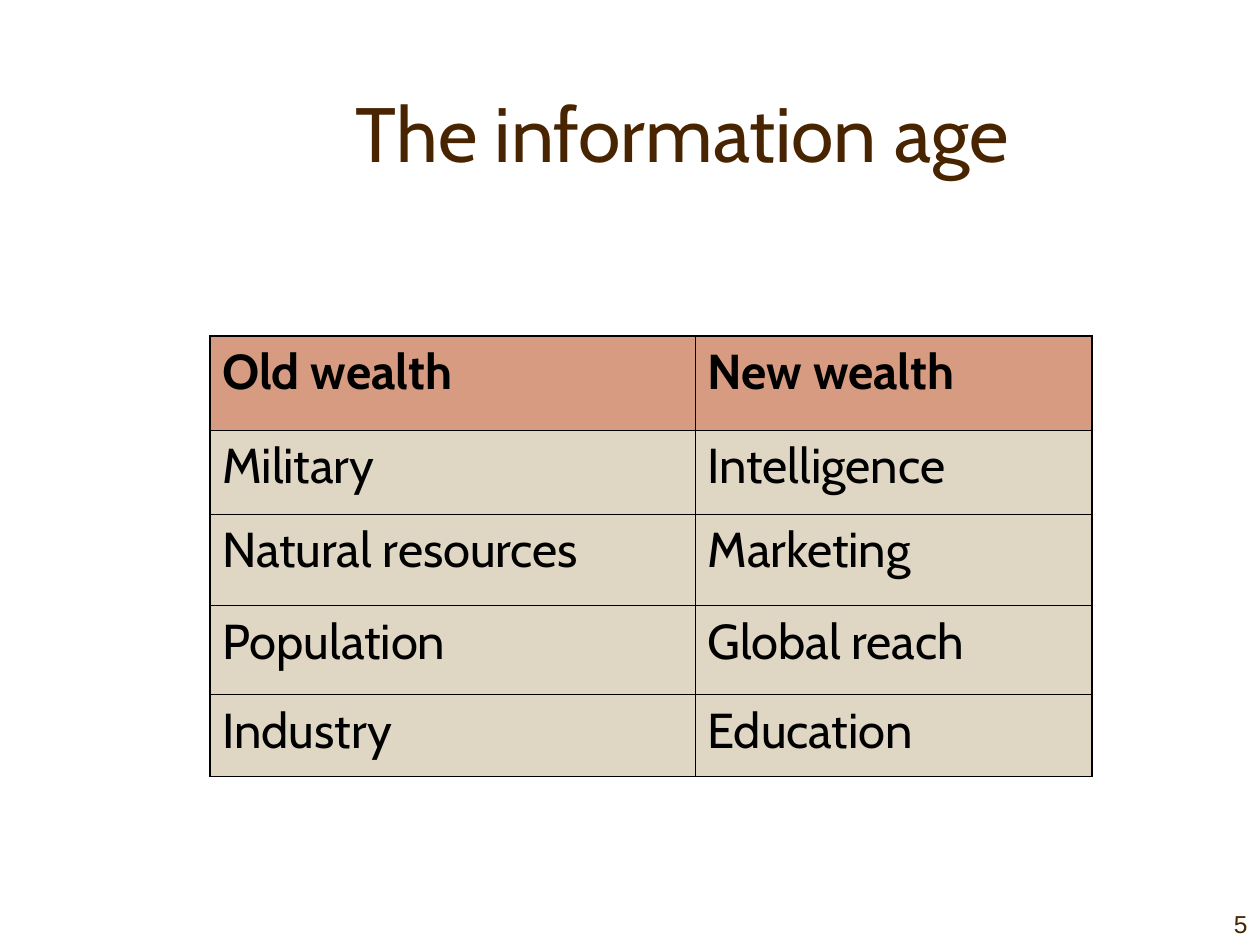
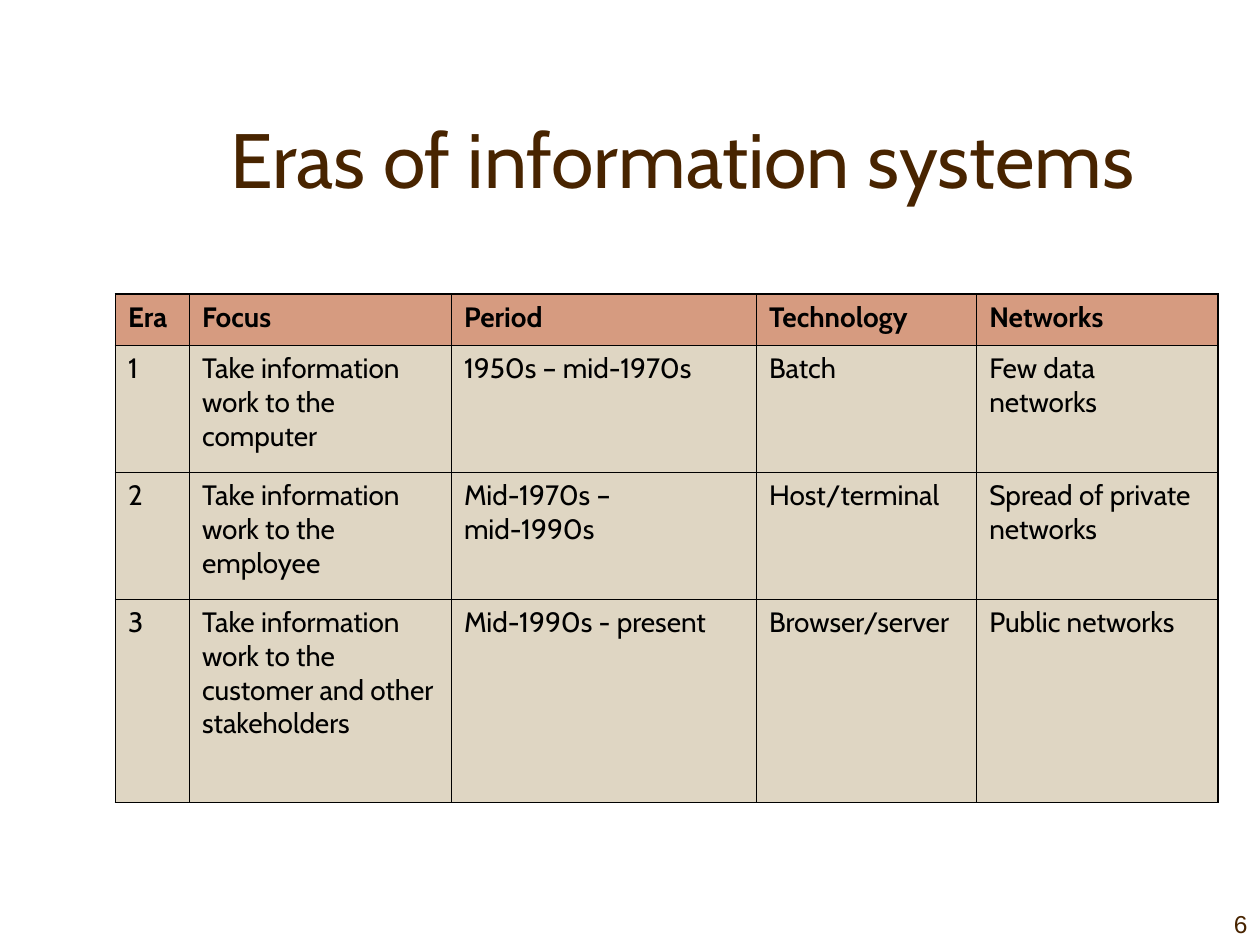
from dataclasses import dataclass

import pptx
import pptx.dml.color
import pptx.enum.text
import pptx.oxml
import pptx.oxml.ns
import pptx.util
from pptx.util import Cm

ALIGN = pptx.enum.text.PP_ALIGN
ANCHOR = pptx.enum.text.MSO_ANCHOR


@dataclass(frozen=True)
class Theme:
    brown: str = "482400"
    black: str = "000000"
    header_fill: str = "D69B80"
    body_fill: str = "DFD6C3"
    heading_font: str = "Cabin"
    number_font: str = "Arial"
    title_size: int = 44
    large_table_size: int = 28
    small_table_size: int = 16
    number_size: int = 14
    outer_line: float = 1.08
    inner_line: float = 0.45


class SlideWriter:
    def __init__(self, deck, theme):
        self.deck = deck
        self.theme = theme
        self.slide = None

    def start_slide(self, title, number, title_anchor):
        self.slide = self.deck.slides.add_slide(self.deck.slide_layouts[6])
        theme = self.theme
        self.text_box((Cm(2.97), Cm(1.06), Cm(21.59), Cm(3.18)), title,
                      theme.heading_font, theme.title_size, ALIGN.CENTER, title_anchor)
        self.text_box((Cm(22.86), Cm(17.78), Cm(2.54), Cm(1.27)), str(number),
                      theme.number_font, theme.number_size, ALIGN.RIGHT, ANCHOR.BOTTOM)

    def text_box(self, place, text, font, size, align, anchor):
        box = self.slide.shapes.add_textbox(*place)
        frame = box.text_frame
        frame.word_wrap = True
        frame.vertical_anchor = anchor
        para = frame.paragraphs[0]
        para.alignment = align
        self.add_span(para, text, font, size, self.theme.brown)

    def add_span(self, para, text, font, size, color, bold=False):
        span = para.add_run()
        span.text = text
        span.font.name = font
        span.font.size = pptx.util.Pt(size)
        span.font.bold = bold
        span.font.color.rgb = pptx.dml.color.RGBColor.from_string(color)

    def table(self, left, top, widths, heights, rows, size):
        """Draw a table whose first row is the header; widths and heights are in cm."""
        theme = self.theme
        grid = self.slide.shapes.add_table(
            len(rows), len(widths), left, top, Cm(sum(widths)), Cm(sum(heights))).table
        grid.horz_banding = False
        for column, width in zip(grid.columns, widths):
            column.width = Cm(width)
        for row, height in zip(grid.rows, heights):
            row.height = Cm(height)
        last_row, last_column = len(rows) - 1, len(widths) - 1
        for r, texts in enumerate(rows):
            for c, text in enumerate(texts):
                cell = grid.cell(r, c)
                self.cell_borders(cell, {"L": c == 0, "R": c == last_column,
                                         "T": r == 0, "B": r == last_row})
                fill = theme.body_fill if r else theme.header_fill
                cell.fill.solid()
                cell.fill.fore_color.rgb = pptx.dml.color.RGBColor.from_string(fill)
                self.add_span(cell.text_frame.paragraphs[0], text, theme.heading_font,
                              size, theme.black, bold=r == 0)

    def cell_borders(self, cell, outer_sides):
        """Rule all four sides, heavier where a side lies on the table's edge."""
        properties = cell._tc.get_or_add_tcPr()
        for side, is_outer in outer_sides.items():
            width = self.theme.outer_line if is_outer else self.theme.inner_line
            properties.append(pptx.oxml.parse_xml(
                f'<a:ln{side} {pptx.oxml.ns.nsdecls("a")} w="{pptx.util.Pt(width)}">'
                f'<a:solidFill><a:srgbClr val="{self.theme.black}"/></a:solidFill>'
                f'</a:ln{side}>'))


def main():
    deck = pptx.Presentation()
    deck.slide_width, deck.slide_height = Cm(25.4), Cm(19.05)
    theme = Theme()
    writer = SlideWriter(deck, theme)

    writer.start_slide("The information age", 5, ANCHOR.MIDDLE)
    wealth = [
        ("Old wealth", "New wealth"),
        ("Military", "Intelligence"),
        ("Natural resources", "Marketing"),
        ("Population", "Global reach"),
        ("Industry", "Education"),
    ]
    writer.table(Cm(4.23), Cm(6.77), [9.78, 8], [1.9, 1.69, 1.85, 1.79, 1.65],
                 wealth, theme.large_table_size)

    writer.start_slide("Eras of information systems", 6, ANCHOR.BOTTOM)
    eras = [
        ("Era", "Focus", "Period", "Technology", "Networks"),
        ("1", "Take information work to the computer", "1950s – mid-1970s",
         "Batch", "Few data networks"),
        ("2", "Take information work to the employee", "Mid-1970s – mid-1990s",
         "Host/terminal", "Spread of private networks"),
        ("3", "Take information work to the customer and other stakeholders",
         "Mid-1990s - present", "Browser/server", "Public networks"),
    ]
    writer.table(Cm(2.33), Cm(5.93), [1.49, 5.28, 6.15, 4.44, 4.86],
                 [1.03, 2.56, 2.56, 4.1], eras, theme.small_table_size)

    deck.save("out.pptx")


if __name__ == "__main__":
    main()
